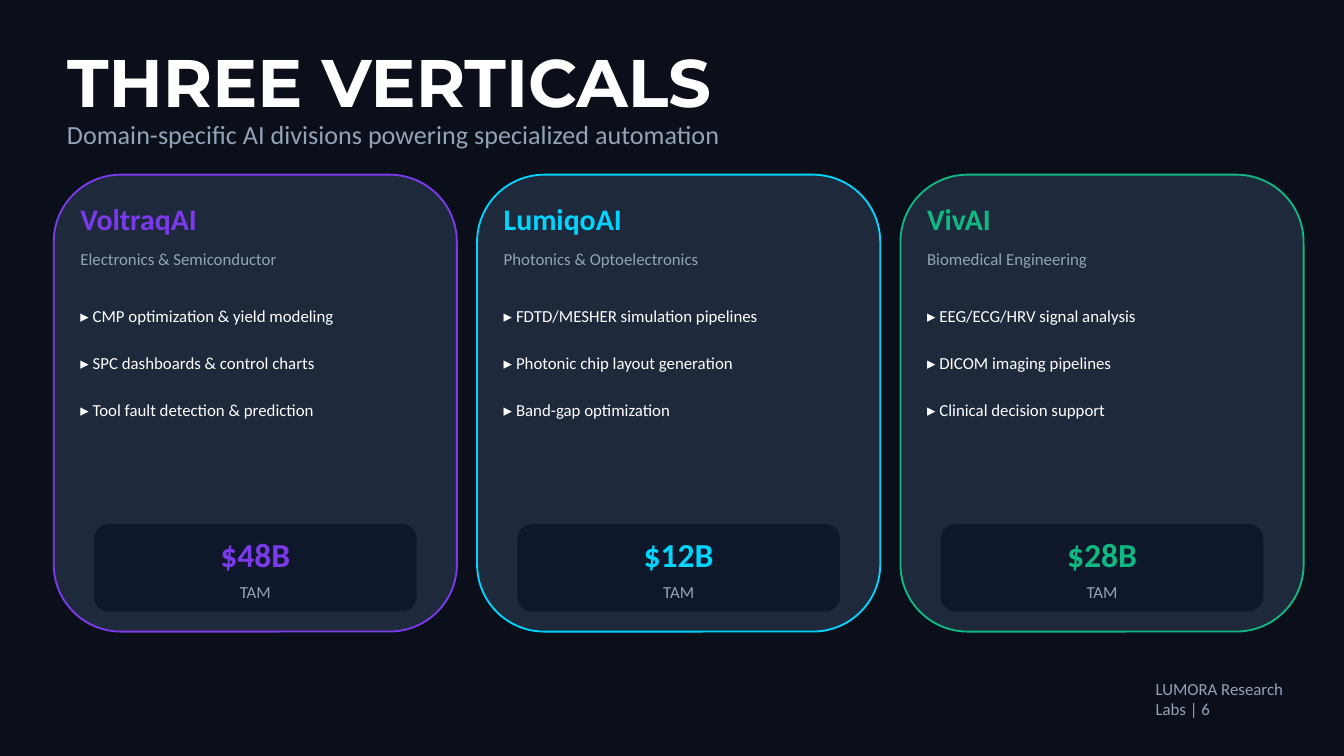
from pptx import Presentation
from pptx.dml.color import RGBColor
from pptx.enum.shapes import MSO_SHAPE as Shape
from pptx.enum.text import MSO_ANCHOR as Anchor, MSO_AUTO_SIZE as AutoSize, PP_ALIGN as Align
from pptx.util import Inches, Pt

NIGHT = RGBColor(0x0A, 0x0F, 0x1A)
SLATE = RGBColor(0x1E, 0x29, 0x3B)
NAVY = RGBColor(0x0F, 0x17, 0x2A)
WHITE = RGBColor(0xFF, 0xFF, 0xFF)
GREY = RGBColor(0x94, 0xA3, 0xB8)
VIOLET = RGBColor(0x7C, 0x3A, 0xED)
CYAN = RGBColor(0x00, 0xD4, 0xFF)
GREEN = RGBColor(0x10, 0xB9, 0x81)

GRID = Inches(0.05)
MARGIN = 8
CARD_TOP = 26
CARD_WIDTH = 60
CARD_HEIGHT = 68
CARD_STEP = CARD_WIDTH + 3
BULLET_TOP = 44
BULLET_STEP = 7

VERTICALS = [
    ("VoltraqAI", "Electronics & Semiconductor", VIOLET, "$48B",
     ["CMP optimization & yield modeling", "SPC dashboards & control charts",
      "Tool fault detection & prediction"]),
    ("LumiqoAI", "Photonics & Optoelectronics", CYAN, "$12B",
     ["FDTD/MESHER simulation pipelines", "Photonic chip layout generation",
      "Band-gap optimization"]),
    ("VivAI", "Biomedical Engineering", GREEN, "$28B",
     ["EEG/ECG/HRV signal analysis", "DICOM imaging pipelines",
      "Clinical decision support"]),
]

deck = Presentation()
deck.slide_width = Inches(10)
deck.slide_height = deck.slide_width * 9 // 16
page = deck.slides.add_slide(deck.slide_layouts[5])
page.background.fill.solid()
page.background.fill.fore_color.rgb = NIGHT


def write(column, row, columns, rows, text, size, color, bold=False,
          align=Align.LEFT, font="Calibri", box=None):
    if box is None:
        box = page.shapes.add_textbox(0, 0, GRID, GRID)
    box.left, box.top = column * GRID, row * GRID
    box.width, box.height = columns * GRID, rows * GRID
    frame = box.text_frame
    frame.text = text
    frame.word_wrap = True
    frame.auto_size = AutoSize.NONE
    frame.vertical_anchor = Anchor.MIDDLE
    para = frame.paragraphs[0]
    para.alignment = align
    span = para.runs[0].font
    span.name, span.size, span.bold = font, Pt(size), bold
    span.color.rgb = color


def panel(column, row, columns, rows, fill, outline=None):
    shape = page.shapes.add_shape(Shape.ROUNDED_RECTANGLE, column * GRID, row * GRID,
                                  columns * GRID, rows * GRID)
    shape.shadow.inherit = False
    shape.fill.solid()
    shape.fill.fore_color.rgb = fill
    if outline is None:
        shape.line.fill.background()
    else:
        shape.line.color.rgb = outline
        shape.line.width = Pt(1)


write(MARGIN, 6, 180, 12, "THREE VERTICALS", 36, WHITE, bold=True,
      font="Montserrat", box=page.shapes.title)
write(MARGIN, 17, 180, 6,
      "Domain-specific AI divisions powering specialized automation", 14, GREY)

for index, (name, field, accent, market, bullets) in enumerate(VERTICALS):
    card = MARGIN + index * CARD_STEP
    inner = card + 2
    badge = card + 6
    panel(card, CARD_TOP, CARD_WIDTH, CARD_HEIGHT, SLATE, accent)
    write(inner, 29, 56, 7, name, 16, accent, bold=True)
    write(inner, 36, 56, 5, field, 9, GREY)
    for line, bullet in enumerate(bullets):
        write(inner, BULLET_TOP + line * BULLET_STEP, 56, 6, f"▸ {bullet}", 9, WHITE)
    panel(badge, 78, 48, 13, NAVY)
    write(badge, 79, 48, 7, market, 18, accent, bold=True, align=Align.CENTER)
    write(badge, 86, 48, 4, "TAM", 9, GREY, align=Align.CENTER)

write(170, 102, 26, 4, "LUMORA Research Labs | 6", 9, GREY)

deck.save("out.pptx")
